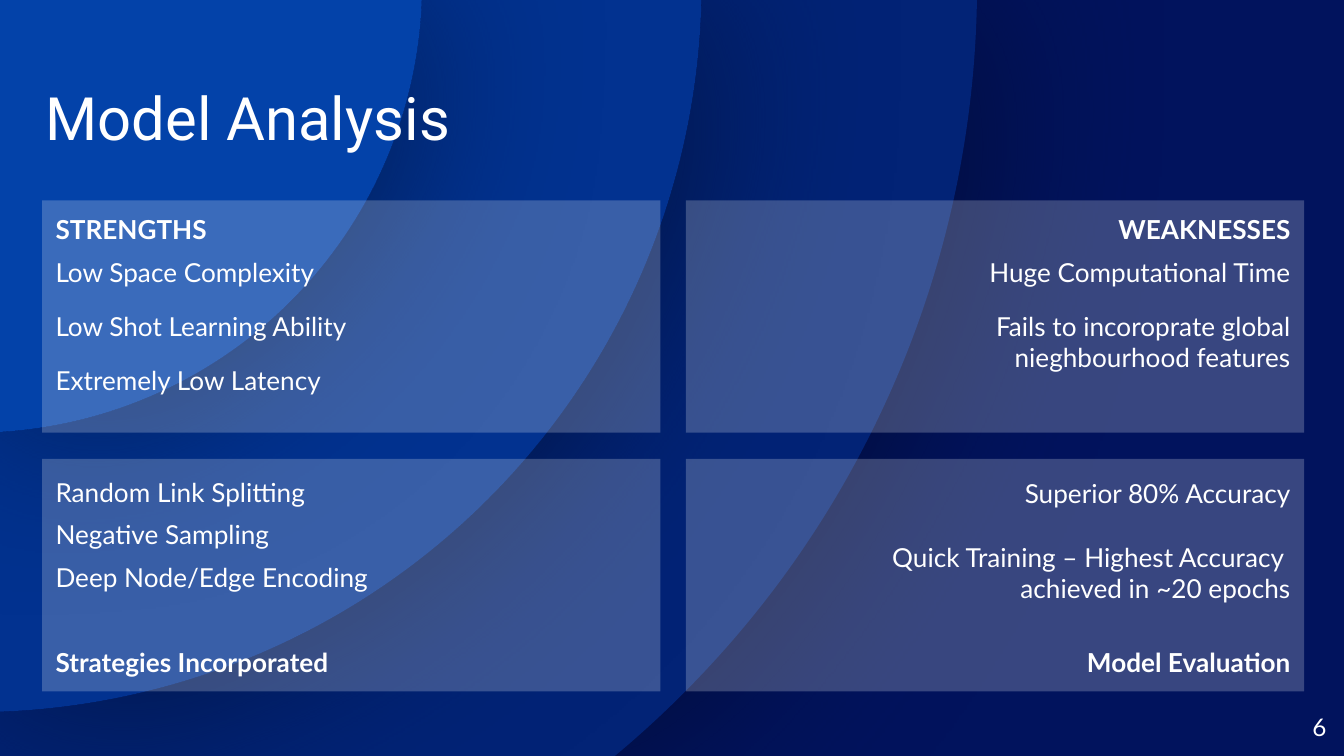
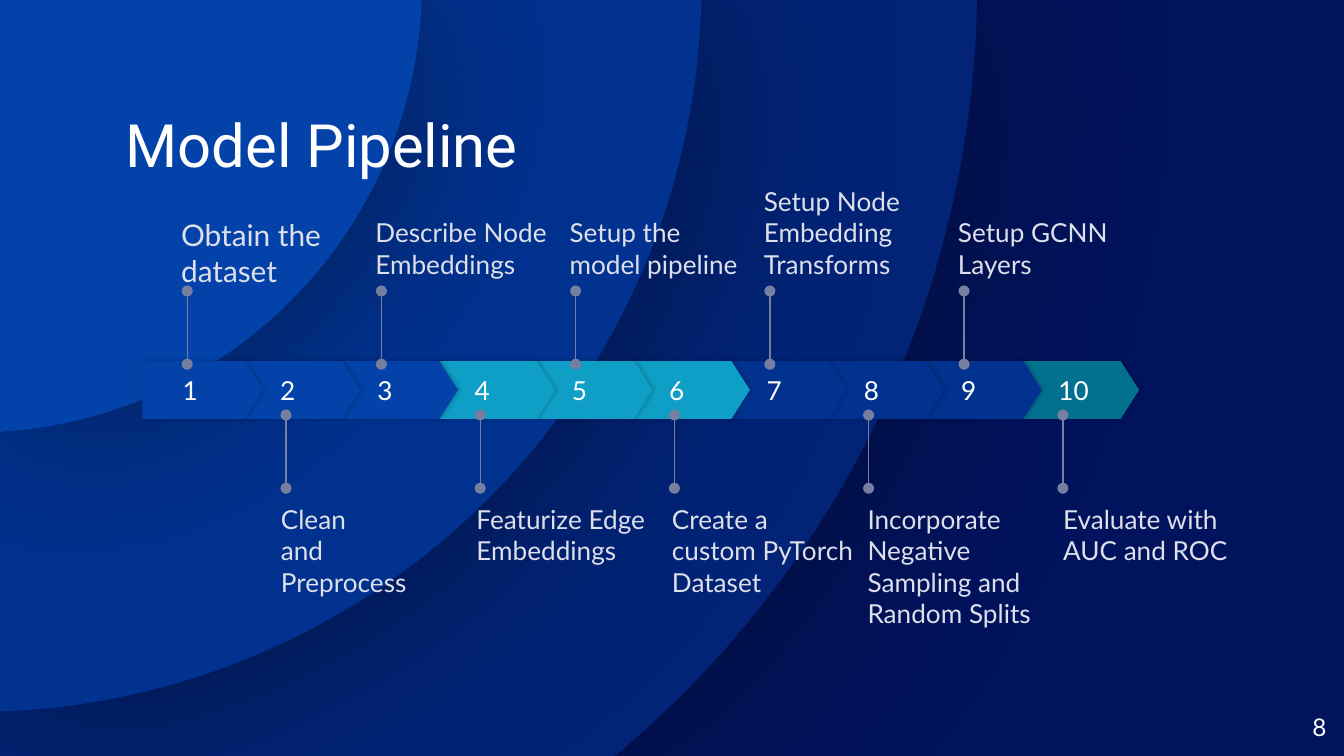
from math import acos, asin, cos, sin, tan
from lxml.etree import SubElement as Sub
from pptx import Presentation
from pptx.dml.color import RGBColor
from pptx.enum.shapes import MSO_CONNECTOR as Link, MSO_SHAPE as Kind
from pptx.enum.text import MSO_ANCHOR as Anchor, MSO_AUTO_SIZE as Auto, PP_ALIGN as Align
from pptx.oxml.ns import qn
from pptx.util import Inches, Pt

WHITE, NAVY, INK = "FFFFFF", "01135D", "01050E"
DEEP, MID, BLUE = "022376", "023290", "0342A9"
AQUA, TEAL, PALE, GREY = "0F9EC5", "027190", "DDE0EB", "777FA0"
COLS, ROWS = 100, 56.25

deck = Presentation()
deck.slide_width, deck.slide_height = Inches(10), Inches(5.625)
unit = deck.slide_width / COLS


def paint(fill, tone, alpha=None):
    fill.solid()
    fill.fore_color.rgb = RGBColor.from_string(tone)
    if alpha:
        node = fill._xPr.find(".//" + qn("a:srgbClr"))
        Sub(node, qn("a:alpha"), val=str(alpha * 1000))


def write(shape, box, lines, size=14, tone=WHITE, face="Lato", side=Align.LEFT,
          anchor=Anchor.TOP, pads=(0, 0, 0, 0), lead=None):
    shape.left, shape.top, shape.width, shape.height = [int(n * unit) for n in box]
    frame = shape.text_frame
    frame.word_wrap, frame.auto_size = True, Auto.NONE
    frame.vertical_anchor = anchor
    (frame.margin_left, frame.margin_top,
     frame.margin_right, frame.margin_bottom) = [int(n * unit) for n in pads]
    for i, (text, bold, before, after) in enumerate(lines):
        para = frame.add_paragraph() if i else frame.paragraphs[0]
        para.alignment, para.line_spacing = side, lead
        para.space_before, para.space_after = Pt(before), Pt(after)
        props = para._p.get_or_add_pPr()
        props.set("marL", "0")
        props.set("indent", "0")
        Sub(props, qn("a:buNone"))
        run = para.add_run()
        run.text = text
        run.font.name, run.font.size, run.font.bold = face, Pt(size), bold
        paint(run.font.fill, tone)


swot = deck.slides.add_slide(deck.slide_layouts[4])
flow = deck.slides.add_slide(deck.slide_layouts[5])
master = deck.slide_master
paint(master.background.fill, NAVY)
shades = []

cx, cy = -2, -1.2
back = [(0, 0)]
for arc, tone, parts, edge in [(33.4, BLUE, 2, []), (54.2, MID, 2, []),
                               (74.7, DEEP, 4, [(0, ROWS)])]:
    low = asin(-cy / arc)
    high = min(acos(-cx / arc), asin(min(1, (ROWS - cy) / arc)))
    step = (high - low) / parts
    pull = 4 / 3 * tan(step / 4)
    rim = [(cx + arc * cos(low), 0)]
    for i in range(parts):
        a, b = low + i * step, low + (i + 1) * step
        rim += [(cx + arc * (cos(a) - pull * sin(a)), cy + arc * (sin(a) + pull * cos(a))),
                (cx + arc * (cos(b) + pull * sin(b)), cy + arc * (sin(b) - pull * cos(b))),
                (cx + arc * cos(b), cy + arc * sin(b))]
    dots = [(100 * x, 100 * y) for x, y in rim + edge + back]
    pen = swot.shapes.build_freeform(*dots[0], scale=unit / 100)
    pen.add_line_segments(dots[1:], close=True)
    band = pen.convert_to_shape(0, 0)
    legs = list(band._element.iter(qn("a:lnTo")))
    turn = len(rim) + len(edge)
    for i in [*range(0, len(rim) - 1, 3), *range(turn, len(legs), 3)]:
        if i + 3 <= len(legs):
            bend = Sub(legs[i].getparent(), qn("a:cubicBezTo"))
            legs[i].addprevious(bend)
            for leg in legs[i:i + 3]:
                bend.append(leg[0])
                leg.getparent().remove(leg)
    paint(band.fill, tone)
    band.line.fill.background()
    master.shapes._spTree.insert(2, band._element)
    shades.append((band, INK, 50, 112.5, 0))
    back = rim[::-1]

for slide, title, col, row, page in [(swot, "Model Analysis", 3.4, 7.15, "6"),
                                     (flow, "Model Pipeline", 9.35, 9.15, "8")]:
    write(slide.shapes.title, (col, row, 81.3, 4.3), [(title, False, 0, 0)], 32,
          face="Roboto", anchor=Anchor.BOTTOM, lead=0.9)
    write(slide.shapes.add_textbox(0, 0, 0, 0), (92.7, 51.9, 6, 4.3),
          [(page, False, 0, 0)], 13, side=Align.RIGHT, anchor=Anchor.MIDDLE)

panels = [
    [("STRENGTHS", True, 0, 0), ("Low Space Complexity", False, 6, 6),
     ("Low Shot Learning Ability", False, 6, 6), ("Extremely Low Latency", False, 6, 6)],
    [("WEAKNESSES", True, 0, 0), ("Huge Computational Time", False, 6, 6),
     ("Fails to incoroprate global nieghbourhood features", False, 6, 6)],
    [("Random Link Splitting", False, 6, 0), ("Negative Sampling", False, 6, 0),
     ("Deep Node/Edge Encoding", False, 6, 0), ("Strategies Incorporated", True, 29, 6)],
    [("Superior 80% Accuracy", False, 0, 0),
     ("Quick Training – Highest Accuracy ", False, 17, 0),
     ("achieved in ~20 epochs", False, 0, 0), ("Model Evaluation", True, 23, 6)],
]
for i, lines in enumerate(panels):
    row, col = divmod(i, 2)
    panel = swot.placeholders[i + 1]
    paint(panel.fill, WHITE, 22)
    write(panel, (3.13 + 47.9 * col, 14.9 + 19.25 * row, 46, 17.3), lines,
          side=[Align.LEFT, Align.RIGHT][col], anchor=[Anchor.TOP, Anchor.BOTTOM][row],
          pads=[(1, 1, 15, 1), (15, 1, 1, 1)][col])

tones = [BLUE] * 3 + [AQUA] * 3 + [MID] * 3 + [TEAL]
for i, tone in reversed(list(enumerate(tones))):
    plate = flow.shapes.add_shape(Kind.PENTAGON, 0, 0, 0, 0)
    write(plate, (10.6 + 7.24 * i, 26.87, 9, 4.3), [(str(i + 1), False, 0, 0)],
          anchor=Anchor.MIDDLE, pads=(3, 0, 0, 0))
    plate.adjustments[0] = 0.32
    paint(plate.fill, tone)
    plate.line.fill.background()
    shades.append((plate, "000000", 20, 2.2, 0.8))

steps = ["Obtain the dataset", "Clean\nand\nPreprocess", "Describe Node Embeddings",
         "Featurize Edge Embeddings", "Setup the model pipeline",
         "Create a custom PyTorch Dataset", "Setup Node Embedding Transforms",
         "Incorporate Negative Sampling and Random Splits", "Setup GCNN Layers",
         "Evaluate with AUC and ROC"]
for i, step in enumerate(steps):
    pair, below = divmod(i, 2)
    x = 13.93 + 7.35 * below + 14.45 * pair
    foot = 36.33 if below else 27.1
    stem = flow.shapes.add_connector(
        Link.STRAIGHT, *[int(n * unit) for n in (x, foot, x, foot - 5.45)])
    paint(stem.line.fill, GREY)
    stem.line.width = Pt(0.75)
    for end in ("a:headEnd", "a:tailEnd"):
        Sub(stem.line._ln, qn(end), type="oval")
    Sub(stem._element.spPr, qn("a:effectLst"))
    left = 20.9 + 14.55 * pair if below else x - 0.45
    top = 37.45 if below else 15 if i else 15.65
    write(flow.shapes.add_textbox(0, 0, 0, 0), (left, top, 13.7, 5.8),
          [(part, False, 0, 0) for part in step.split("\n")], 14 if i else 16, PALE,
          anchor=Anchor.TOP if below else Anchor.BOTTOM)

for shape, tone, alpha, blur, dist in shades:
    shape.shadow.inherit = False
    glow = Sub(shape._element.spPr.find(qn("a:effectLst")), qn("a:outerShdw"),
               blurRad=str(Pt(blur)), dist=str(Pt(dist)), dir="0", rotWithShape="0")
    node = Sub(glow, qn("a:srgbClr"), val=tone)
    Sub(node, qn("a:alpha"), val=str(alpha * 1000))

deck.save("out.pptx")
